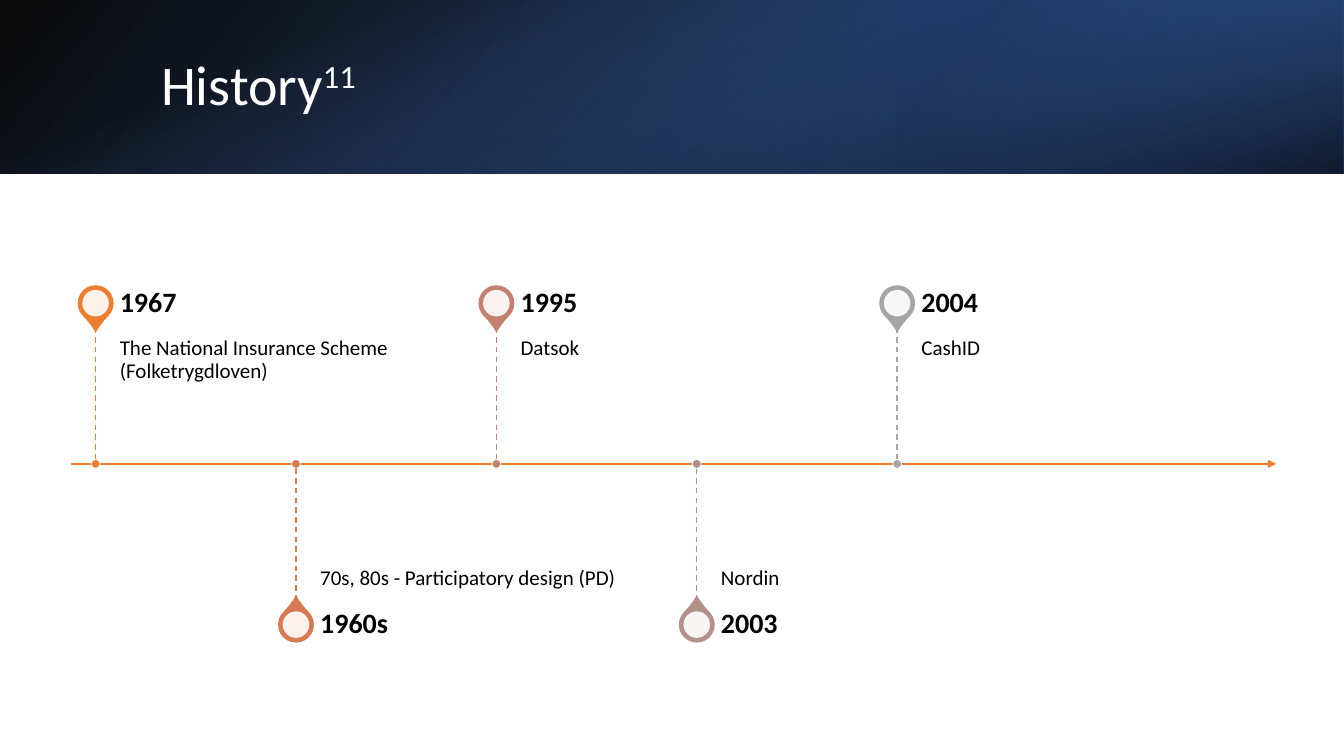
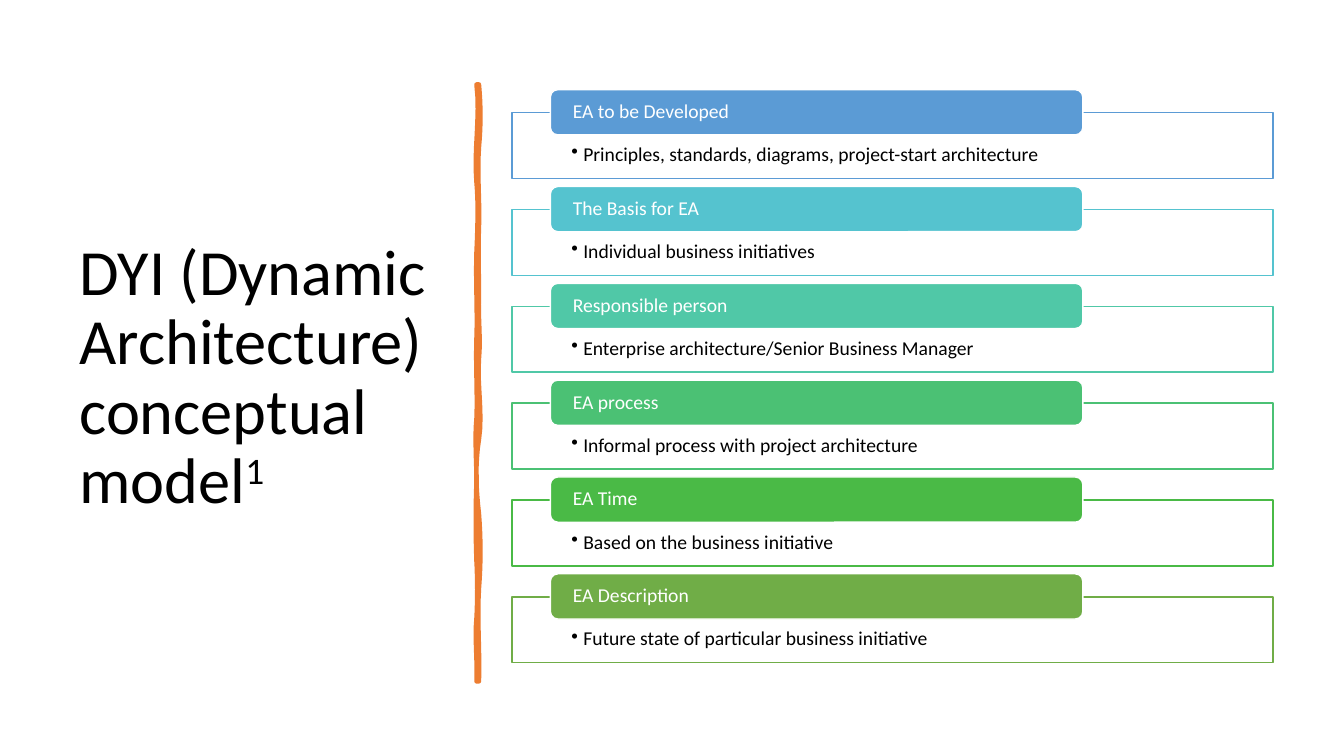
from lxml import etree
from pptx import Presentation
from pptx.dml.color import RGBColor
from pptx.enum.dml import MSO_LINE
from pptx.enum.shapes import MSO_CONNECTOR, MSO_SHAPE
from pptx.enum.text import MSO_ANCHOR, MSO_AUTO_SIZE, PP_ALIGN
from pptx.oxml.ns import qn
from pptx.util import Cm, Pt

# Enum members
RECT, ROUND_RECT = MSO_SHAPE.RECTANGLE, MSO_SHAPE.ROUNDED_RECTANGLE
OVAL, TEAR = MSO_SHAPE.OVAL, MSO_SHAPE.TEAR
STRAIGHT, DASH = MSO_CONNECTOR.STRAIGHT, MSO_LINE.DASH
TOP, MIDDLE, BOTTOM = MSO_ANCHOR.TOP, MSO_ANCHOR.MIDDLE, MSO_ANCHOR.BOTTOM
LEFT, NO_FIT = PP_ALIGN.LEFT, MSO_AUTO_SIZE.NONE

# Shared style
FONT = "Calibri"
TITLE_ONLY = 5
SLIDE_W, SLIDE_H = 33.87, 19.05
BAND_H = 4.37
WHITE = RGBColor(0xFF, 0xFF, 0xFF)
BLACK = RGBColor(0x00, 0x00, 0x00)
ORANGE = RGBColor(0xED, 0x7D, 0x31)
TERRACOTTA = RGBColor(0xD8, 0x7A, 0x51)
ROSE = RGBColor(0xC4, 0x81, 0x70)
MAUVE = RGBColor(0xB4, 0x90, 0x8B)
GRAY = RGBColor(0xA5, 0xA5, 0xA5)
BLUE = RGBColor(0x5B, 0x9B, 0xD5)
CYAN = RGBColor(0x55, 0xC3, 0xCF)
TEAL = RGBColor(0x50, 0xC8, 0xA7)
MINT = RGBColor(0x4B, 0xC1, 0x74)
GREEN = RGBColor(0x4A, 0xBA, 0x46)
OLIVE = RGBColor(0x70, 0xAD, 0x47)
DEEP_BLUE = RGBColor(0x2F, 0x55, 0x97)
NAVY = RGBColor(0x20, 0x38, 0x64)
ROYAL = RGBColor(0x44, 0x72, 0xC4)

# Content
EVENTS = [
    ("1967", "The National Insurance Scheme (Folketrygdloven)", ORANGE),
    ("1960s", "70s, 80s - Participatory design (PD)", TERRACOTTA),
    ("1995", "Datsok", ROSE),
    ("2003", "Nordin", MAUVE),
    ("2004", "CashID", GRAY),
]
ASPECTS = [
    ("EA to be Developed",
     "Principles, standards, diagrams, project-start architecture", BLUE),
    ("The Basis for EA", "Individual business initiatives", CYAN),
    ("Responsible person", "Enterprise architecture/Senior Business Manager", TEAL),
    ("EA process", "Informal process with project architecture", MINT),
    ("EA Time", "Based on the business initiative", GREEN),
    ("EA Description", "Future state of particular business initiative", OLIVE),
]

# Wavy divider edges: bulge at one third, bulge at two thirds, end height
RIGHT_EDGE = [(2, 2, 3.71), (-2, 1, 5.74), (-1, 0, 7.47), (-1, 2, 9.04),
              (-2, 4, 11.07), (-4, -3, 12.95), (2, 2, 14.83), (-2, 1, 17.17)]
LEFT_EDGE = [(1, -2, 15.57), (1, 1, 14.15), (-1, -1, 12.12), (0, -2, 10.54),
             (1, -1, 8.51), (1, -1, 6.35), (1, 2, 4.6), (-3, 4, 2.13)]
BULGE = 0.025


def sub(parent, tag, **attrs):
    el = etree.SubElement(parent, qn(tag))
    for name, value in attrs.items():
        el.set(name, str(value))
    return el


def set_text(tf, text, size=14, color=BLACK, bold=False, sup="", anchor=TOP,
             margins=(0, 0, 0, 0), bullet=False):
    """Fill a text frame; margins are left, top, right, bottom in cm."""
    tf.word_wrap = True
    tf.auto_size = NO_FIT
    tf.vertical_anchor = anchor
    tf.margin_left, tf.margin_top, tf.margin_right, tf.margin_bottom = map(Cm, margins)
    p = tf.paragraphs[0]
    p.alignment = LEFT
    p.line_spacing = 0.9
    for part in filter(None, (text, sup)):
        r = p.add_run()
        r.text = part
        r.font.name, r.font.size, r.font.bold = FONT, Pt(size), bold
        r.font.color.rgb = color
    if sup:
        r.font._element.set("baseline", "30000")
    if bullet:
        pPr = p._p.get_or_add_pPr()
        pPr.set("marL", str(Cm(0.3)))
        pPr.set("indent", str(-Cm(0.3)))
        sub(pPr, "a:buChar", char="•")


def add_title(slide, x, y, w, h, text, **fmt):
    sp = slide.shapes.title
    sp.left, sp.top, sp.width, sp.height = map(Cm, (x, y, w, h))
    set_text(sp.text_frame, text, anchor=MIDDLE,
             margins=(0.25, 0.13, 0.25, 0.13), **fmt)
    slide.shapes._spTree.append(sp._element)  # bring to front


def add_text(slide, x, y, w, h, text, **fmt):
    sp = slide.shapes.add_textbox(Cm(x), Cm(y), Cm(w), Cm(h))
    set_text(sp.text_frame, text, **fmt)


def paint(sp, fill, line=None, width=1.0):
    sp.shadow.inherit = False
    sp.fill.solid()
    sp.fill.fore_color.rgb = fill
    if line is None:
        sp.line.fill.background()
    else:
        sp.line.color.rgb = line
        sp.line.width = Pt(width)


def add_shape(slide, kind, x, y, w, h, fill, line=None, width=1.0):
    sp = slide.shapes.add_shape(kind, Cm(x), Cm(y), Cm(w), Cm(h))
    paint(sp, fill, line, width)
    return sp


def add_centred(slide, kind, cx, cy, size, fill, **style):
    return add_shape(slide, kind, cx - size / 2, cy - size / 2, size, size,
                     fill, **style)


def add_line(slide, x1, y1, x2, y2, color, width, dash=None, arrow=False):
    ln = slide.shapes.add_connector(STRAIGHT, Cm(x1), Cm(y1), Cm(x2), Cm(y2))
    ln.line.color.rgb = color
    ln.line.width = Pt(width)
    if dash:
        ln.line.dash_style = dash
    if arrow:
        sub(ln.line._get_or_add_ln(), "a:tailEnd", type="triangle")
    sub(ln._element.spPr, "a:effectLst")


def add_gradient(slide, x, y, w, h, stops, angle, rotation=0, flip=False):
    """Rectangle with (position, colour, opacity) stops, all in percent."""
    sp = add_shape(slide, RECT, x, y, w, h, WHITE)
    sp.rotation = rotation
    spPr = sp._element.spPr
    if flip:
        spPr.find(qn("a:xfrm")).set("flipH", "1")
    solid = spPr.find(qn("a:solidFill"))
    grad = etree.Element(qn("a:gradFill"))
    stop_list = sub(grad, "a:gsLst")
    for pos, color, opacity in stops:
        gs = sub(stop_list, "a:gs", pos=pos * 1000)
        clr = sub(gs, "a:srgbClr", val=color)
        sub(clr, "a:alpha", val=opacity * 1000)
    sub(grad, "a:lin", ang=angle * 60000, scaled=0)
    spPr.replace(solid, grad)


def add_header_band(slide):
    add_gradient(slide, 0, 0, SLIDE_W, BAND_H,
                 [(0, BLACK, 96), (100, DEEP_BLUE, 100)], 140, flip=True)
    third = SLIDE_W / 3
    add_gradient(slide, SLIDE_W - third, 0, third, BAND_H,
                 [(19, NAVY, 68), (100, ROYAL, 79)], 320, rotation=180, flip=True)
    # Upright strip turned a quarter to cover the band
    offset = (SLIDE_W - BAND_H) / 2
    add_gradient(slide, offset, -offset, BAND_H, SLIDE_W,
                 [(23, ROYAL, 0), (99, BLACK, 74)], 340, rotation=90)


def add_event(slide, x, axis_y, above, year, text, color):
    side = -1 if above else 1
    pin_y = axis_y + side * 4.05
    stem_y = axis_y + side * 3.44

    # Pin
    pin = add_centred(slide, TEAR, x, pin_y, 0.87, color, line=color)
    pin.adjustments[0] = 1.15
    pin.rotation = 135 if above else 315
    hole = add_centred(slide, OVAL, x, pin_y, 0.67, WHITE)
    clr = hole._element.spPr.find(qn("a:solidFill"))[0]
    sub(clr, "a:alpha", val=90000)

    # Labels
    text_x, text_w = x + 0.61, 8.41
    add_text(slide, text_x, min(stem_y, axis_y), text_w, 3.44, text, size=15,
             anchor=TOP if above else BOTTOM,
             margins=(0, 0.25, 0.25, 0.4) if above else (0, 0.4, 0, 0.25))
    add_text(slide, text_x, pin_y - 0.61, text_w, 1.22, year, size=20, bold=True,
             anchor=MIDDLE, margins=(0, 0, 0.36, 0))

    # Stem and dot on the axis
    add_line(slide, x, stem_y, x, axis_y, color, 1, dash=DASH)
    add_centred(slide, OVAL, x, axis_y, 0.22, color, line=WHITE, width=0.5)


def edge_points(x, y, segments, steps=8):
    """Sample cubic curves that start and end on the vertical at x."""
    points = []
    for b1, b2, end in segments:
        for i in range(1, steps + 1):
            t = i / steps
            bulge = 3 * t * (1 - t) * ((1 - t) * b1 + t * b2)
            points.append((Cm(x + BULGE * bulge), Cm(y + (end - y) * t)))
        y = end
    return points


def add_wavy_divider(slide):
    left, right, top, bottom = 12.01, 12.07, 2.13, 17.17
    fb = slide.shapes.build_freeform(Cm(right), Cm(top))
    fb.add_line_segments(edge_points(right, top, RIGHT_EDGE)
                         + [(Cm(left), Cm(bottom))]
                         + edge_points(left, bottom, LEFT_EDGE), close=True)
    paint(fb.convert_to_shape(), ORANGE, ORANGE, 3.25)


def add_aspect(slide, y, heading, text, color):
    box = add_shape(slide, RECT, 12.9, y, 19.18, 1.66, WHITE, line=color)
    set_text(box.text_frame, text, margins=(1.5, 0.81, 1.5, 0.28), bullet=True)
    tab = add_shape(slide, ROUND_RECT, 13.87, y - 0.58, 13.42, 1.14, color, line=WHITE)
    set_text(tab.text_frame, heading, color=WHITE, anchor=MIDDLE,
             margins=(0.51, 0, 0.51, 0))


def new_slide(prs):
    return prs.slides.add_slide(prs.slide_layouts[TITLE_ONLY])


def build_history(prs):
    slide = new_slide(prs)
    add_header_band(slide)
    add_title(slide, 3.81, 0.97, 27.89, 2.44, "History", sup="11", size=40, color=WHITE)
    axis_y = 11.69
    add_line(slide, 1.78, axis_y, 32.16, axis_y, ORANGE, 1.5, arrow=True)
    for i, event in enumerate(EVENTS):
        add_event(slide, 2.41 + 5.05 * i, axis_y, i % 2 == 0, *event)


def build_model(prs):
    slide = new_slide(prs)
    add_title(slide, 1.75, 1.78, 9.5, 15.52,
              "DYI (Dynamic Architecture) conceptual model", sup="1", size=46)
    add_wavy_divider(slide)
    for i, aspect in enumerate(ASPECTS):
        add_aspect(slide, 2.84 + 2.44 * i, *aspect)


def main():
    prs = Presentation()
    prs.slide_width, prs.slide_height = Cm(SLIDE_W), Cm(SLIDE_H)
    build_history(prs)
    build_model(prs)
    prs.save("out.pptx")


if __name__ == "__main__":
    main()
